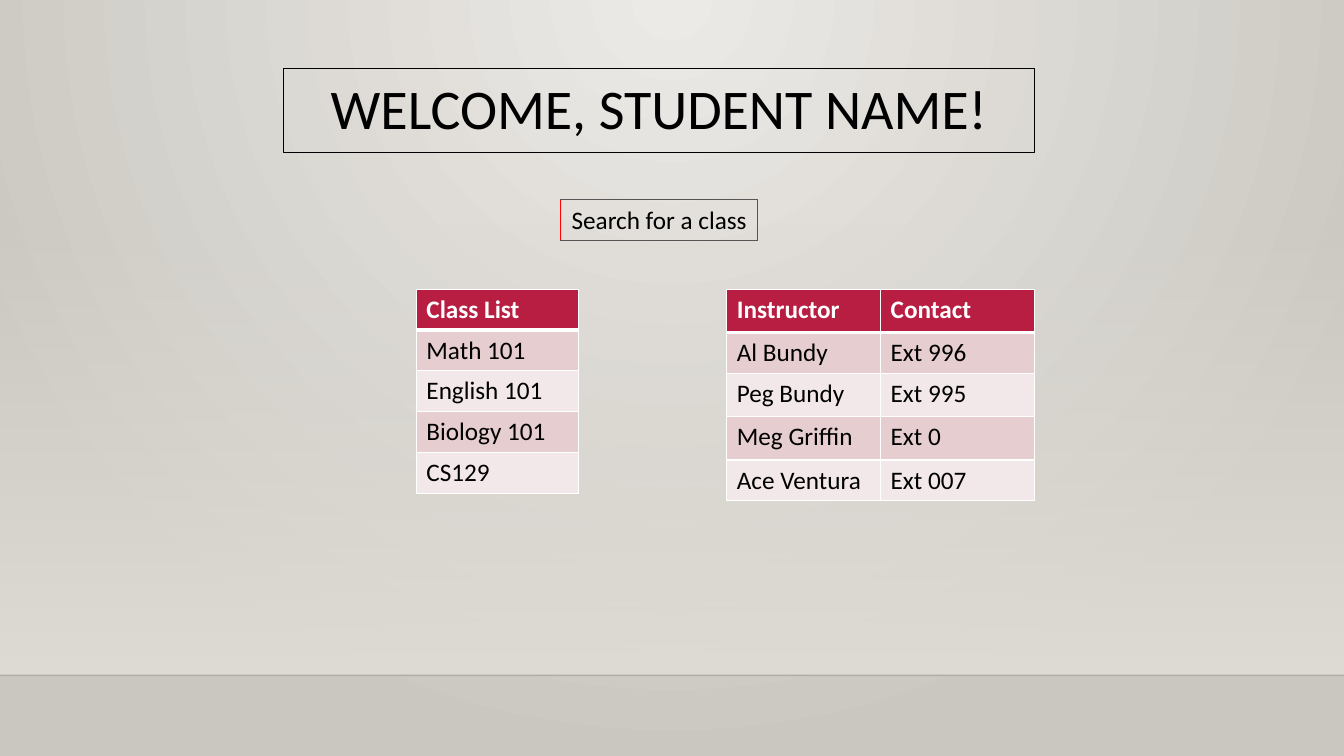
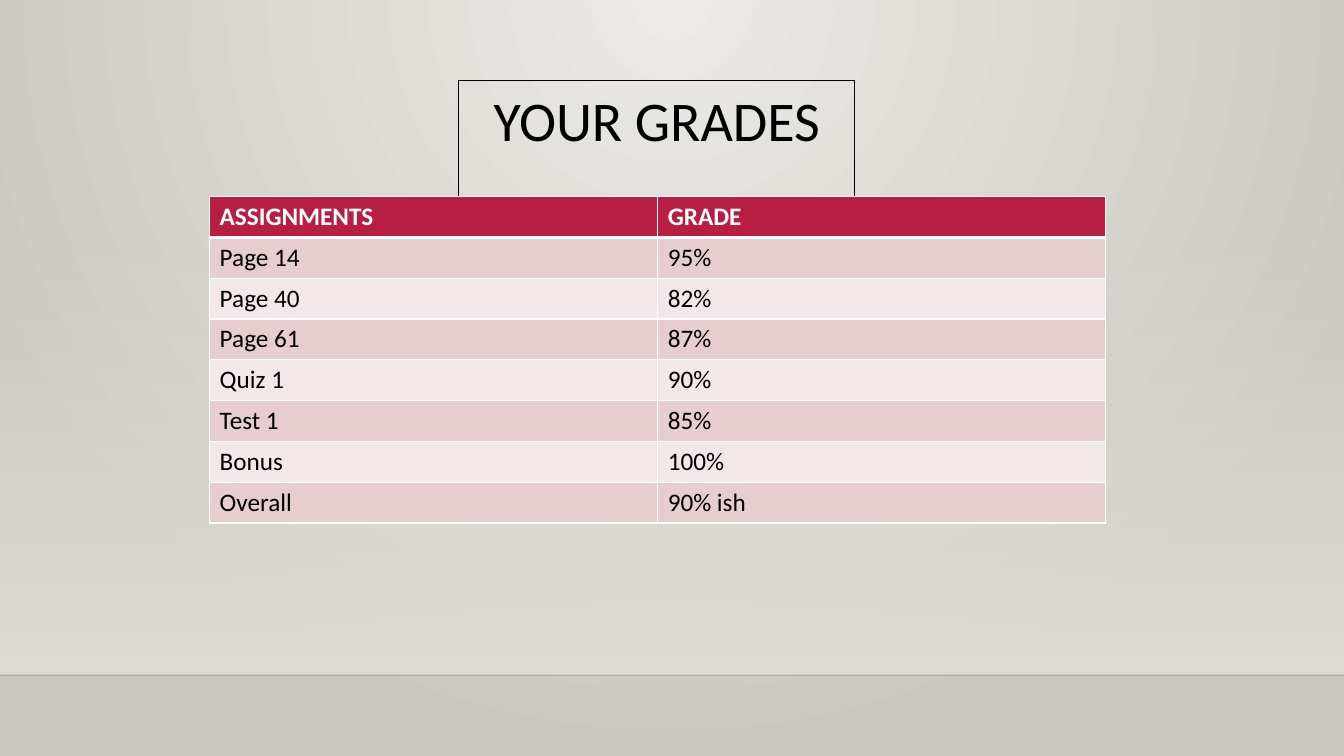
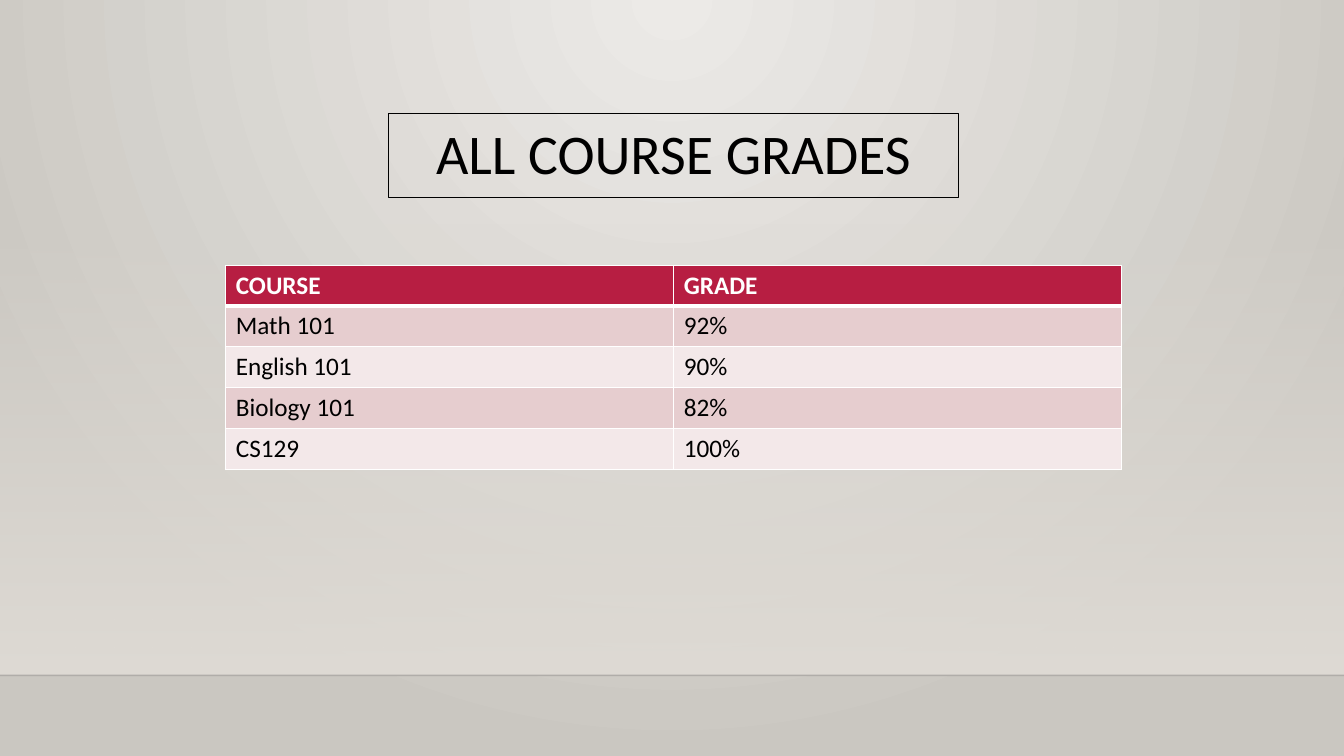
from pptx import Presentation
from pptx import util as u
from pptx.dml.color import RGBColor
from pptx.enum import shapes, text
from pptx.oxml import parse_xml
from pptx.oxml.ns import nsdecls, qn

# Palette
BLACK = RGBColor(0x00, 0x00, 0x00)
WHITE = RGBColor(0xFF, 0xFF, 0xFF)
RED = RGBColor(0xFF, 0x00, 0x00)
GREY = RGBColor(0x55, 0x55, 0x55)
CRIMSON = RGBColor(0xB7, 0x1E, 0x42)
ROSE = RGBColor(0xE6, 0xCD, 0xCF)
PALE_ROSE = RGBColor(0xF3, 0xE8, 0xE9)
WALL_LIGHT = RGBColor(0xEC, 0xEA, 0xE7)
WALL_DARK = RGBColor(0xCA, 0xC7, 0xC1)
HAZE = RGBColor(0xDF, 0xDB, 0xD5)
HORIZON = RGBColor(0x00, 0x00, 0x01)

RADIAL = '<a:path path="circle"><a:fillToRect l="43000" r="43000" b="100000"/></a:path>'
DOWNWARD = '<a:lin ang="5400000" scaled="0"/>'


def set_gradient(owner, start, end, direction, start_alpha=100):
    """Give the gradient fill inside owner two stops and a direction."""
    old = next(owner.iter(qn("a:gradFill")))
    old.getparent().replace(old, parse_xml(
        f'<a:gradFill {nsdecls("a")} rotWithShape="1"><a:gsLst>'
        f'<a:gs pos="0"><a:srgbClr val="{start}"><a:alpha val="{start_alpha * 1000}"/></a:srgbClr></a:gs>'
        f'<a:gs pos="100000"><a:srgbClr val="{end}"/></a:gs>'
        f'</a:gsLst>{direction}</a:gradFill>'))


class Deck:
    """Holds the shared style and the current slide; lengths are percent of the slide."""

    font = "Calibri"
    title_size = 40
    body_size = 18
    title_height = 10.27
    row_height = 5.4

    def __init__(self):
        self.presentation = Presentation()
        self.presentation.slide_width = u.Inches(13.333)
        self.presentation.slide_height = u.Inches(7.5)
        self.slide = None

    def x(self, percent):
        return u.Emu(round(self.presentation.slide_width * percent / 100))

    def y(self, percent):
        return u.Emu(round(self.presentation.slide_height * percent / 100))

    def box(self, left, top, width, height):
        return self.x(left), self.y(top), self.x(width), self.y(height)

    def new_slide(self):
        layout = self.presentation.slide_layouts.get_by_name("Title Only")
        self.slide = self.presentation.slides.add_slide(layout)

    def backdrop(self):
        """Paint the master: radial wall, haze and horizon line."""
        master = self.presentation.slide_master
        master.background.fill.gradient()
        set_gradient(master.element, WALL_LIGHT, WALL_DARK, RADIAL)

        haze = self.slide.shapes.add_shape(
            shapes.MSO_SHAPE.RECTANGLE, *self.box(0, 29.47, 100, 59.86))
        haze.shadow.inherit = False
        haze.line.fill.background()
        haze.fill.gradient()
        set_gradient(haze.element, HAZE, HAZE, DOWNWARD, start_alpha=0)

        horizon = self.slide.shapes.add_connector(
            shapes.MSO_CONNECTOR.STRAIGHT, 0, self.y(89.33), self.x(100), self.y(89.33))
        horizon.line.color.rgb = HORIZON
        horizon.line.width = u.Pt(1)
        color = next(horizon.element.iter(qn("a:srgbClr")))
        color.append(parse_xml(f'<a:alpha {nsdecls("a")} val="20000"/>'))
        horizon.element.spPr.append(parse_xml(f'<a:effectLst {nsdecls("a")}/>'))

        for position, shape in enumerate((haze, horizon), start=2):
            master.shapes.element.insert(position, shape.element)

    def add_words(self, paragraph, words, size, color=BLACK, bold=False):
        run = paragraph.add_run()
        run.text = words
        run.font.name = self.font
        run.font.size = u.Pt(size)
        run.font.color.rgb = color
        run.font.bold = bold

    def framed(self, shape, words, size, line_color, wrap):
        """Outline a text shape and centre its words."""
        shape.fill.background()
        shape.line.color.rgb = line_color
        shape.line.width = u.Pt(0.75)
        frame = shape.text_frame
        frame.word_wrap = wrap
        frame.auto_size = text.MSO_AUTO_SIZE.SHAPE_TO_FIT_TEXT
        frame.vertical_anchor = text.MSO_ANCHOR.TOP
        paragraph = frame.paragraphs[0]
        paragraph.alignment = text.PP_ALIGN.CENTER
        self.add_words(paragraph, words, size)

    def title(self, words, left, top, width):
        title = self.slide.shapes.title
        title.left, title.top, title.width, title.height = self.box(
            left, top, width, self.title_height)
        self.framed(title, words, self.title_size, BLACK, wrap=True)

    def search_box(self, words, left, top, width, height):
        """Red frame whose top, right and bottom sides are covered in grey."""
        field = self.slide.shapes.add_textbox(*self.box(left, top, width, height))
        self.framed(field, words, self.body_size, RED, wrap=False)
        right, bottom = self.x(left + width), self.y(top + height)
        builder = self.slide.shapes.build_freeform(self.x(left), self.y(top))
        builder.add_line_segments(
            [(right, self.y(top)), (right, bottom), (self.x(left), bottom)], close=False)
        sides = builder.convert_to_shape()
        sides.shadow.inherit = False
        sides.fill.background()
        sides.line.color.rgb = GREY
        sides.line.width = u.Pt(0.75)

    def borders(self, cell, widths):
        properties = cell._tc.get_or_add_tcPr()
        for position, (side, points) in enumerate(widths.items()):
            properties.insert(position, parse_xml(
                f'<a:ln{side} {nsdecls("a")} w="{u.Pt(points)}"><a:solidFill>'
                f'<a:srgbClr val="{WHITE}"/></a:solidFill></a:ln{side}>'))

    def table(self, rows, left, top, width, heights=None):
        heights = heights or [self.row_height] * len(rows)
        table = self.slide.shapes.add_table(
            len(rows), len(rows[0]), *self.box(left, top, width, sum(heights))).table
        table.horz_banding = False
        for column in table.columns:
            column.width = self.x(width / len(rows[0]))
        for r, (values, height) in enumerate(zip(rows, heights)):
            table.rows[r].height = self.y(height)
            header = r == 0
            for c, value in enumerate(values):
                cell = table.cell(r, c)
                cell.fill.solid()
                cell.fill.fore_color.rgb = CRIMSON if header else (PALE_ROSE, ROSE)[r % 2]
                self.borders(cell, {"L": 1, "R": 1, "T": 1, "B": 3} if header
                             else {"L": 1, "R": 1, "B": 1})
                self.add_words(cell.text_frame.paragraphs[0], value, self.body_size,
                               WHITE if header else BLACK, header)


def main():
    deck = Deck()
    courses = ["Math 101", "English 101", "Biology 101", "CS129"]

    # Welcome page
    deck.new_slide()
    deck.backdrop()
    deck.title("WELCOME, STUDENT NAME!", 21.08, 9.07, 55.88)
    deck.table([["Class List"]] + [[course] for course in courses], 30.98, 38.27, 12.08)
    deck.search_box("Search for a class", 41.7, 26.4, 14.7, 5.39)
    deck.table([
        ["Instructor", "Contact"],
        ["Al Bundy", "Ext 996"],
        ["Peg Bundy", "Ext 995"],
        ["Meg Griffin", "Ext 0"],
        ["Ace Ventura", "Ext 007"],
    ], 54.08, 38.27, 22.88, heights=[5.73, 5.4, 5.73, 5.73, 5.4])

    # Grades of one class
    deck.new_slide()
    deck.title("YOUR GRADES", 34.13, 10.67, 29.48)
    deck.table([
        ["ASSIGNMENTS", "GRADE"],
        ["Page 14", "95%"],
        ["Page 40", "82%"],
        ["Page 61", "87%"],
        ["Quiz 1", "90%"],
        ["Test 1", "85%"],
        ["Bonus", "100%"],
        ["Overall", "90% ish"],
    ], 15.6, 26, 66.68)

    # Grades of all classes
    deck.new_slide()
    deck.title("ALL COURSE GRADES", 28.88, 15.07, 42.45)
    grades = ["92%", "90%", "82%", "100%"]
    deck.table([["COURSE", "GRADE"], *zip(courses, grades)], 16.8, 35.07, 66.68)

    deck.presentation.save("out.pptx")


if __name__ == "__main__":
    main()
